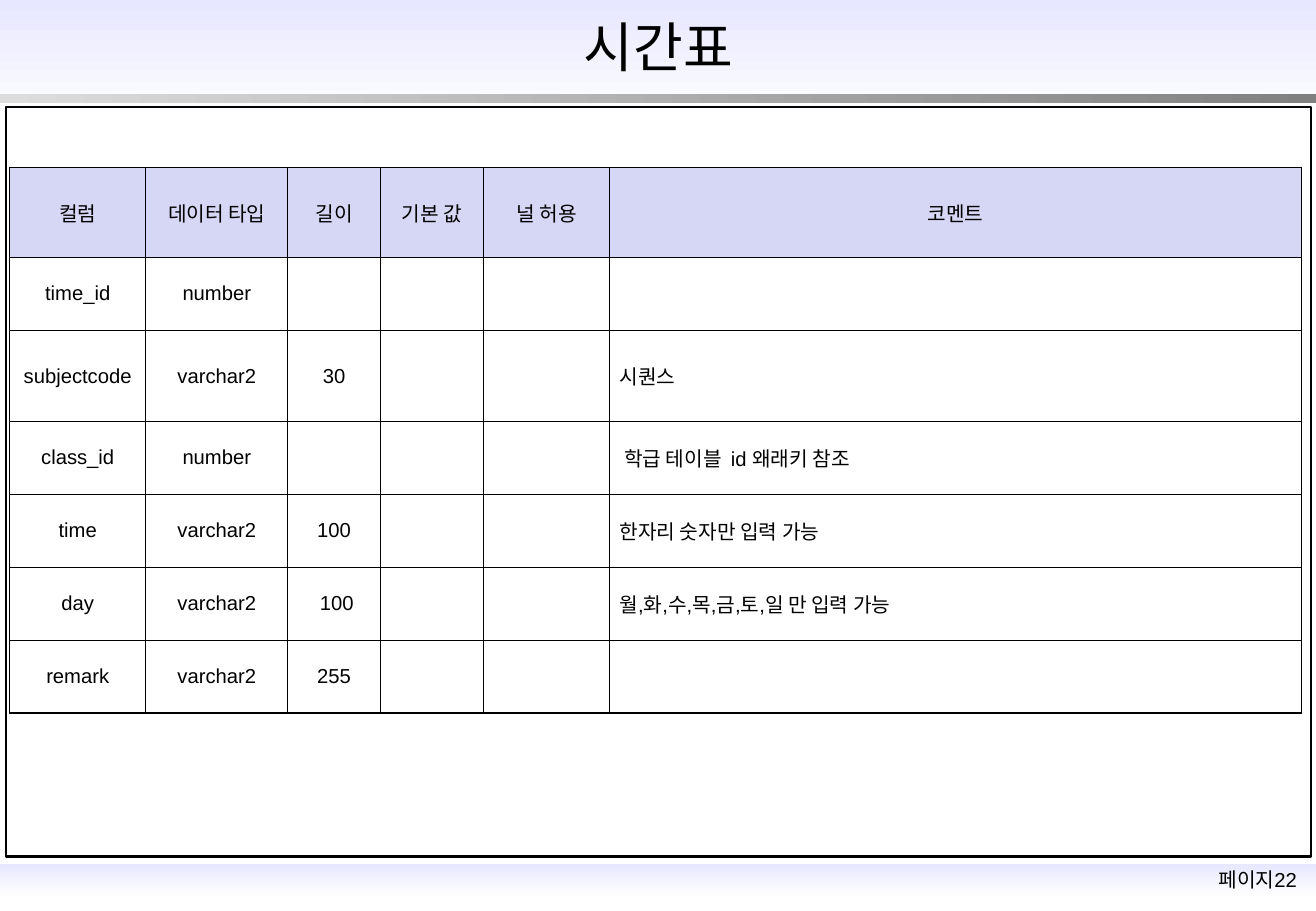
"""Builds the timetable schema slide with its column definition table."""
from dataclasses import dataclass

from lxml import etree
from pptx import Presentation
from pptx.dml.color import RGBColor
from pptx.enum.shapes import MSO_SHAPE
from pptx.enum.text import MSO_ANCHOR, PP_ALIGN
from pptx.oxml.ns import qn
from pptx.util import Inches, Pt

RECTANGLE = MSO_SHAPE.RECTANGLE
MIDDLE = MSO_ANCHOR.MIDDLE
CENTER = PP_ALIGN.CENTER
LEFT = PP_ALIGN.LEFT

TITLE = "시간표"
PAGE_LABEL = "페이지22"
HEADERS = ["컬럼", "데이터 타입", "길이", "기본 값", "널 허용", "코멘트"]
FIELDS = [
    ("time_id", "number", "", "", "", ""),
    ("subjectcode", "varchar2", "30", "", "", "시퀀스"),
    ("class_id", "number", "", "", "", " 학급 테이블  id 왜래키 참조"),
    ("time", "varchar2", "100", "", "", "한자리 숫자만 입력 가능"),
    ("day", "varchar2", " 100", "", "", "월,화,수,목,금,토,일 만 입력 가능"),
    ("remark", "varchar2", "255", "", "", ""),
]
COLUMN_WIDTHS = [1.12, 1.17, 0.76, 0.85, 1.04, 5.69]
ROW_HEIGHTS = [0.74, 0.6, 0.75, 0.6, 0.6, 0.6, 0.6]
SLIDE_WIDTH, SLIDE_HEIGHT = 10.83, 7.5
COMMENT_COLUMN = HEADERS.index("코멘트")


@dataclass(frozen=True)
class Theme:
    font: str = "Arial"
    title_size: float = 32
    body_size: float = 12
    frame_width: float = 1.5
    border_width: float = 0.75
    ink: str = "000000"
    band: str = "E7E7FF"
    paper: str = "FFFFFF"
    rule_light: str = "DDDDDD"
    rule_dark: str = "808080"
    header: str = "D6D6F5"


THEME = Theme()
GRADIENT_BARS = [
    (7.11, 0.27, THEME.band, THEME.paper, 270),
    (0, 1, THEME.band, THEME.paper, 270),
    (0.77, 0.08, THEME.rule_light, THEME.rule_dark, 0),
]


def write(text_frame, text, size, alignment=CENTER):
    text_frame.text = text
    paragraph = text_frame.paragraphs[0]
    paragraph.alignment = alignment
    for run in paragraph.runs:
        run.font.name = THEME.font
        run.font.size = Pt(size)
        run.font.color.rgb = RGBColor.from_string(THEME.ink)


def set_margins(text_frame, horizontal, vertical):
    text_frame.margin_left = text_frame.margin_right = Inches(horizontal)
    text_frame.margin_top = text_frame.margin_bottom = Inches(vertical)


def add_rectangle(slide, left, top, width, height):
    shape = slide.shapes.add_shape(
        RECTANGLE, Inches(left), Inches(top), Inches(width), Inches(height))
    shape.shadow.inherit = False
    return shape


def add_gradient_bar(slide, top, height, start, end, angle):
    bar = add_rectangle(slide, 0, top, SLIDE_WIDTH, height)
    bar.line.fill.background()
    bar.fill.gradient()
    bar.fill.gradient_angle = angle
    for stop, color, position in zip(bar.fill.gradient_stops, (start, end), (0, 1)):
        stop.color.rgb = RGBColor.from_string(color)
        stop.position = position


def add_frame(slide):
    frame = add_rectangle(slide, 0.05, 0.88, 10.74, 6.17)
    frame.fill.background()
    frame.line.color.rgb = RGBColor.from_string(THEME.ink)
    frame.line.width = Pt(THEME.frame_width)


def add_page_label(slide):
    label = slide.shapes.add_textbox(
        Inches(9.82), Inches(7.09), Inches(1.06), Inches(0.3))
    label.text_frame.word_wrap = True
    write(label.text_frame, PAGE_LABEL, THEME.body_size)


def place_title(slide):
    title = slide.shapes.title
    slide.shapes.element.append(title.element)
    title.left, title.top = Inches(1.64), Inches(0.12)
    title.width, title.height = Inches(7.56), Inches(0.51)
    set_margins(title.text_frame, 0, 0)
    title.text_frame.vertical_anchor = MIDDLE
    write(title.text_frame, TITLE, THEME.title_size)


def add_borders(cell):
    properties = cell._tc.get_or_add_tcPr()
    for side in ("a:lnL", "a:lnR", "a:lnT", "a:lnB"):
        line = etree.SubElement(properties, qn(side), w=str(Pt(THEME.border_width)))
        fill = etree.SubElement(line, qn("a:solidFill"))
        etree.SubElement(fill, qn("a:srgbClr"), val=THEME.ink)


def format_cell(cell, text, is_header, alignment):
    set_margins(cell, 0.08, 0.04)
    cell.vertical_anchor = MIDDLE
    write(cell.text_frame, text, THEME.body_size, alignment)
    add_borders(cell)
    if is_header:
        cell.fill.solid()
        cell.fill.fore_color.rgb = RGBColor.from_string(THEME.header)
    else:
        cell.fill.background()


def add_schema_table(slide):
    rows = [HEADERS, *FIELDS]
    table = slide.shapes.add_table(
        len(rows), len(HEADERS), Inches(0.08), Inches(1.38),
        Inches(sum(COLUMN_WIDTHS)), Inches(sum(ROW_HEIGHTS))).table
    table.horz_banding = False
    for column, width in zip(table.columns, COLUMN_WIDTHS):
        column.width = Inches(width)
    for row, height in zip(table.rows, ROW_HEIGHTS):
        row.height = Inches(height)
    for row_index, values in enumerate(rows):
        is_header = row_index == 0
        for column_index, text in enumerate(values):
            is_comment = column_index == COMMENT_COLUMN and not is_header
            format_cell(table.cell(row_index, column_index), text, is_header,
                        LEFT if is_comment else CENTER)
    table.first_row = False


def main():
    presentation = Presentation()
    presentation.slide_width = Inches(SLIDE_WIDTH)
    presentation.slide_height = Inches(SLIDE_HEIGHT)
    slide = presentation.slides.add_slide(presentation.slide_layouts[5])
    for bar in GRADIENT_BARS:
        add_gradient_bar(slide, *bar)
    add_frame(slide)
    add_page_label(slide)
    place_title(slide)
    add_schema_table(slide)
    presentation.save("out.pptx")


if __name__ == "__main__":
    main()
